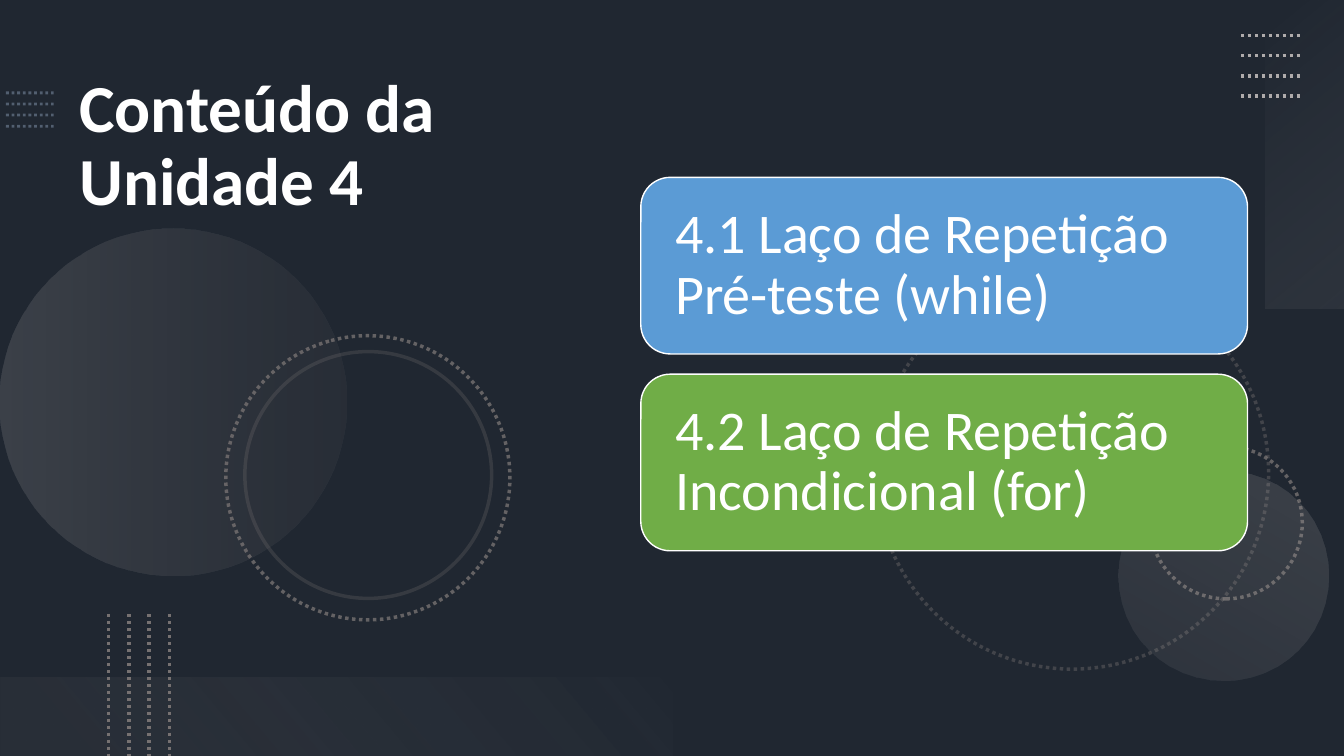
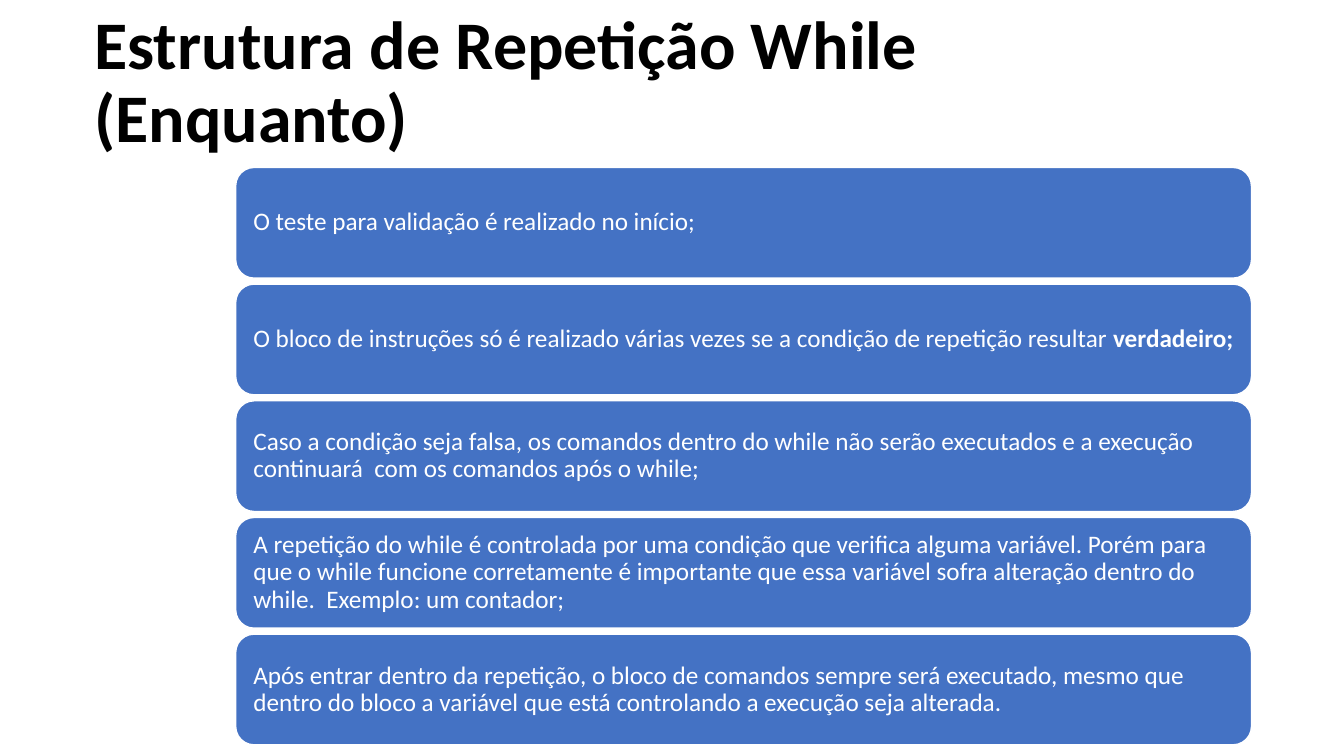
from lxml.etree import SubElement
from pptx import Presentation
from pptx.dml.color import RGBColor
from pptx.enum.dml import MSO_LINE
from pptx.enum.shapes import MSO_CONNECTOR, MSO_SHAPE
from pptx.enum.text import MSO_ANCHOR, PP_ALIGN
from pptx.oxml.ns import qn
from pptx.util import Cm, Pt

FONT = "Calibri"
WHITE = RGBColor(0xFF, 0xFF, 0xFF)
BLACK = RGBColor(0x00, 0x00, 0x00)
SLATE = RGBColor(0x44, 0x54, 0x6A)
STEEL = RGBColor(0x84, 0x97, 0xB0)
GRAY = RGBColor(0x76, 0x71, 0x71)
SILVER = RGBColor(0xAF, 0xAB, 0xAB)
MIST = RGBColor(0xF5, 0xF5, 0xF5)
SKY = RGBColor(0x5B, 0x9B, 0xD5)
GREEN = RGBColor(0x70, 0xAD, 0x47)
BLUE = RGBColor(0x44, 0x72, 0xC4)

SLIDE_W, SLIDE_H = 33.87, 19.05

UNIT_TITLE = "Conteúdo da Unidade 4"
UNIT_TOPICS = [
    (SKY, [("4.1 Laço de Repetição Pré-teste (while)", False)]),
    (GREEN, [("4.2 Laço de Repetição Incondicional (for)", False)]),
]

WHILE_TITLE = "Estrutura de Repetição While (Enquanto)"
WHILE_RULES = [
    [("O teste para validação é realizado no início;", False)],
    [("O bloco de instruções só é realizado várias vezes se a condição de "
      "repetição resultar ", False), ("verdadeiro;", True)],
    [("Caso a condição seja falsa, os comandos dentro do while não serão "
      "executados e a execução continuará  com os comandos após o while;", False)],
    [("A repetição do while é controlada por uma condição que verifica alguma "
      "variável. Porém para que o while funcione corretamente é importante que "
      "essa variável sofra alteração dentro do while.  Exemplo: um contador;", False)],
    [("Após entrar dentro da repetição, o bloco de comandos sempre será "
      "executado, mesmo que dentro do bloco a variável que está controlando a "
      "execução seja alterada.", False)],
]

BACK_RINGS = [
    ((22.07, 6.96, 9.9), 75, MSO_LINE.ROUND_DOT, 40),
    ((28.98, 11.25, 3.84), 270, MSO_LINE.ROUND_DOT, 80),
]
FRONT_RINGS = [
    ((5.69, 8.46, 7.16), 75, MSO_LINE.ROUND_DOT, 80),
    ((6.17, 8.86, 6.22), 75, MSO_LINE.SOLID, 25),
]
DISCS = [
    ((0, 5.77, 8.74, 8.74), 270, 90, [(0, SILVER, 20), (1, GRAY, 10)]),
    ((28.19, 11.86, 5.28, 5.28), 210, 90, [(0, SILVER, 10), (1, SILVER, 20)]),
]
SIDE_PANEL = ((29.01, 2.9, 7.77, 1.98), 270, 140, [(0, MIST, 0), (1, SILVER, 10)])
FLOOR_PANEL = ((0, 17.07, 16.94, 1.98), 180, 140, [(0.1, GRAY, 10), (1, MIST, 0)])


def set_opacity(drawn, *percents):
    colors = list(drawn._element.spPr.iter(qn("a:srgbClr")))
    for color, percent in zip(colors, percents):
        SubElement(color, qn("a:alpha"), val=str(percent * 1000))


def add_flat_shape(slide, kind, box, rotation=0):
    shape = slide.shapes.add_shape(kind, *map(Cm, box))
    shape.shadow.inherit = False
    shape.rotation = rotation
    shape.line.fill.background()
    return shape


def add_gradient(slide, kind, box, rotation, angle, stops):
    shape = add_flat_shape(slide, kind, box, rotation)
    shape.fill.gradient()
    shape.fill.gradient_angle = 360 - angle
    for stop, (position, color, _) in zip(shape.fill.gradient_stops, stops):
        stop.position = position
        stop.color.rgb = color
    set_opacity(shape, *(opacity for _, _, opacity in stops))


def add_ring(slide, place, rotation, dash, opacity):
    left, top, diameter = place
    ring = add_flat_shape(slide, MSO_SHAPE.OVAL, (left, top, diameter, diameter), rotation)
    ring.fill.background()
    ring.line.color.rgb = GRAY
    ring.line.width = Pt(2.5)
    ring.line.dash_style = dash
    set_opacity(ring, opacity)


def add_dotted_lines(slide, start, end, step, color, width, opacity=100):
    for i in range(4):
        dx, dy = step[0] * i, step[1] * i
        line = slide.shapes.add_connector(
            MSO_CONNECTOR.STRAIGHT,
            Cm(start[0] + dx), Cm(start[1] + dy), Cm(end[0] + dx), Cm(end[1] + dy))
        line.line.color.rgb = color
        line.line.width = Pt(width)
        line.line.dash_style = MSO_LINE.ROUND_DOT
        set_opacity(line, opacity)
        SubElement(line._element.spPr, qn("a:effectLst"))


def write(frame, parts, size, color, anchor):
    frame.word_wrap = True
    frame.vertical_anchor = anchor
    paragraph = frame.paragraphs[0]
    paragraph.alignment = PP_ALIGN.LEFT
    paragraph.line_spacing = 0.9
    for text, bold in parts:
        run = paragraph.add_run()
        run.text = text
        run.font.name = FONT
        run.font.size = Pt(size)
        run.font.bold = bold
        run.font.color.rgb = color


def add_title(slide, text, box, size, color, anchor):
    title = slide.shapes.add_textbox(*map(Cm, box))
    write(title.text_frame, [(text, True)], size, color, anchor)


def add_cards(slide, cards, box, pitch, inset, size):
    left, top, width, height = box
    for i, (color, parts) in enumerate(cards):
        card = add_flat_shape(slide, MSO_SHAPE.ROUNDED_RECTANGLE,
                              (left, top + i * pitch, width, height))
        card.fill.solid()
        card.fill.fore_color.rgb = color
        card.line.color.rgb = WHITE
        card.line.width = Pt(1)
        frame = card.text_frame
        frame.margin_left = frame.margin_right = Cm(inset)
        frame.margin_top = frame.margin_bottom = Cm(inset)
        write(frame, parts, size, WHITE, MSO_ANCHOR.MIDDLE)


def add_slide(deck, background):
    slide = deck.slides.add_slide(deck.slide_layouts[6])
    slide.background.fill.solid()
    slide.background.fill.fore_color.rgb = background
    return slide


def decorate(slide):
    veil = add_flat_shape(slide, MSO_SHAPE.RECTANGLE, (0, 0, SLIDE_W, SLIDE_H))
    veil.fill.solid()
    veil.fill.fore_color.rgb = BLACK
    set_opacity(veil, 53)
    add_dotted_lines(slide, (0.15, 2.34), (1.35, 2.34), (0, 0.28), STEEL, 2, 50)
    for ring in BACK_RINGS:
        add_ring(slide, *ring)
    for disc in DISCS:
        add_gradient(slide, MSO_SHAPE.OVAL, *disc)
    for ring in FRONT_RINGS:
        add_ring(slide, *ring)
    add_gradient(slide, MSO_SHAPE.RECTANGLE, *SIDE_PANEL)
    add_dotted_lines(slide, (31.27, 0.89), (32.79, 0.89), (0, 0.51), SILVER, 2.5)
    add_gradient(slide, MSO_SHAPE.RECTANGLE, *FLOOR_PANEL)
    add_dotted_lines(slide, (2.74, 15.47), (2.74, SLIDE_H), (0.51, 0), GRAY, 2.5)


def main():
    deck = Presentation()
    deck.slide_width, deck.slide_height = Cm(SLIDE_W), Cm(SLIDE_H)

    unit = add_slide(deck, SLATE)
    decorate(unit)
    add_title(unit, UNIT_TITLE, (1.75, 1.75, 13.74, 15.32), 48, WHITE, MSO_ANCHOR.TOP)
    add_cards(unit, UNIT_TOPICS, (16.15, 4.47, 15.29, 4.45), 4.96, 0.65, 40)

    loop = add_slide(deck, WHITE)
    add_title(loop, WHILE_TITLE, (2.13, 0.74, 28.8, 2.74), 48.6, BLACK, MSO_ANCHOR.MIDDLE)
    add_cards(loop, [(BLUE, rule) for rule in WHILE_RULES],
              (5.94, 4.22, 25.6, 2.79), 2.94, 0.31, 18)

    deck.save("out.pptx")


if __name__ == "__main__":
    main()
